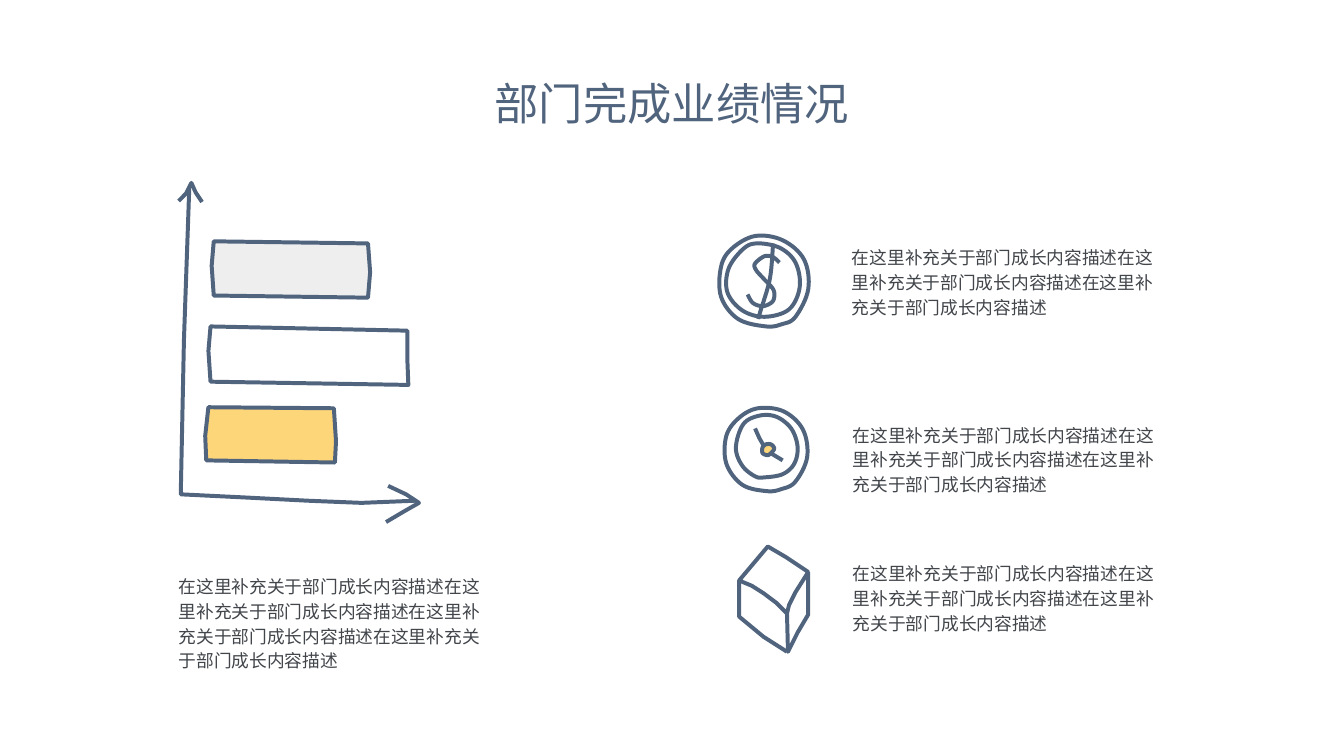
from dataclasses import dataclass
from typing import Optional

from lxml.etree import SubElement
from pptx import Presentation
from pptx.dml.color import RGBColor
from pptx.enum.text import MSO_ANCHOR as Anchor, MSO_AUTO_SIZE as AutoSize, PP_ALIGN as Align
from pptx.oxml.ns import qn
from pptx.util import Cm, Pt

COLORS = {"ink": "51647E", "text": "42464B", "yellow": "FDD67A", "grey": "EEEEEE"}
FONT = "Noto Sans CJK SC"
PHRASE = "在这里补充关于部门成长内容描述"
GRID = 2.54  # cm per unit of the sketch points
CURVE_STEPS = 8

Point = tuple[float, float]


@dataclass
class Stroke:
    points: list[Point]
    closed: bool = False
    smooth: bool = False
    fill: Optional[str] = None


@dataclass
class Note:
    left: float
    top: float
    height: float
    phrases: int


# Bar chart sketch
BAR_CHART = [
    Stroke([(1.96, 3.83), (3.14, 3.84), (3.16, 4.15), (3.15, 4.35), (1.94, 4.33), (1.93, 4.1)],
           closed=True, fill="yellow"),
    Stroke([(1.98, 3.07), (3.83, 3.11), (3.83, 3.36), (3.84, 3.62), (1.98, 3.59), (1.96, 3.3)],
           closed=True),
    Stroke([(2.01, 2.27), (3.46, 2.29), (3.48, 2.56), (3.46, 2.8), (2.01, 2.78), (1.99, 2.5)],
           closed=True, fill="grey"),
    # Axes and their arrowheads
    Stroke([(1.78, 1.77), (1.73, 3.2), (1.7, 4.65), (2.32, 4.68), (2.9, 4.71), (3.4, 4.73),
            (3.9, 4.71)]),
    Stroke([(3.65, 4.57), (3.82, 4.65), (3.94, 4.73), (3.8, 4.81), (3.63, 4.91)]),
    Stroke([(1.68, 1.89), (1.75, 1.82), (1.8, 1.72), (1.84, 1.81), (1.9, 1.9)]),
]

COIN = [
    # Rim and face
    Stroke([(7.2, 3.07), (6.94, 3.0), (6.78, 2.79), (6.78, 2.51), (6.88, 2.34), (7.1, 2.22),
            (7.36, 2.26), (7.56, 2.44), (7.6, 2.72), (7.48, 2.98), (7.35, 3.05)],
           closed=True, smooth=True),
    Stroke([(7.19, 2.98), (6.98, 2.92), (6.84, 2.75), (6.85, 2.53), (6.98, 2.35), (7.11, 2.29),
            (7.33, 2.33), (7.48, 2.47), (7.52, 2.7), (7.42, 2.91)],
           closed=True, smooth=True),
    # Dollar sign
    Stroke([(7.03, 2.77), (7.08, 2.85), (7.17, 2.88), (7.25, 2.85), (7.28, 2.8), (7.27, 2.72),
            (7.18, 2.62), (7.11, 2.54), (7.1, 2.48), (7.19, 2.41), (7.27, 2.42), (7.33, 2.47)],
           smooth=True),
    Stroke([(7.27, 2.29), (7.24, 2.62), (7.15, 2.93), (7.13, 3.0)], smooth=True),
]

CLOCK = [
    # Rim and face
    Stroke([(7.21, 4.62), (6.98, 4.56), (6.83, 4.36), (6.83, 4.1), (6.95, 3.93), (7.13, 3.84),
            (7.37, 3.87), (7.55, 4.04), (7.59, 4.3), (7.48, 4.53), (7.35, 4.6)],
           closed=True, smooth=True),
    Stroke([(7.19, 4.49), (7.1, 4.48), (6.98, 4.38), (6.92, 4.21), (6.99, 3.99), (7.14, 3.91),
            (7.3, 3.92), (7.44, 4.03), (7.5, 4.2), (7.47, 4.36), (7.36, 4.46)],
           closed=True, smooth=True),
    # Hub and hands
    Stroke([(7.21, 4.28), (7.17, 4.26), (7.17, 4.21), (7.2, 4.18), (7.25, 4.18), (7.28, 4.22),
            (7.24, 4.27)], closed=True, smooth=True, fill="yellow"),
    Stroke([(7.36, 4.33), (7.26, 4.27)]),
    Stroke([(7.1, 4.03), (7.14, 4.12), (7.18, 4.19)]),
]

BOX = [
    Stroke([(6.95, 5.46), (7.22, 5.14), (7.39, 5.24), (7.6, 5.38), (7.48, 5.57), (7.42, 5.69),
            (7.4, 5.77), (7.3, 5.67), (7.18, 5.58), (7.07, 5.51)], closed=True),
    Stroke([(7.6, 5.38), (7.6, 5.78), (7.5, 5.95), (7.41, 6.13), (7.4, 5.75)]),
    Stroke([(6.95, 5.46), (6.95, 5.8), (7.18, 5.99), (7.4, 6.13)]),
]

NOTES = [
    Note(20.35, 5.79, 1.83, 3),
    Note(20.37, 10.03, 1.83, 3),
    Note(20.37, 13.34, 1.83, 3),
    Note(4.27, 13.67, 2.39, 4),
]


def rgb(name: str) -> RGBColor:
    return RGBColor.from_string(COLORS[name])


def smoothed(points: list[Point], closed: bool) -> list[Point]:
    """Run a Catmull-Rom curve through the points."""
    ring = [points[-1], *points, *points[:2]] if closed else [points[0], *points, points[-1]]
    curve = []
    for a, b, c, d in zip(ring, ring[1:], ring[2:], ring[3:]):
        for step in range(CURVE_STEPS):
            t = step / CURVE_STEPS
            curve.append(tuple(
                q + t * (r - p + t * (2 * p - 5 * q + 4 * r - s + t * (3 * (q - r) + s - p))) / 2
                for p, q, r, s in zip(a, b, c, d)
            ))
    return curve if closed else [*curve, points[-1]]


def draw_stroke(slide, stroke: Stroke) -> None:
    points = smoothed(stroke.points, stroke.closed) if stroke.smooth else stroke.points
    start, *rest = [(Cm(x * GRID), Cm(y * GRID)) for x, y in points]
    builder = slide.shapes.build_freeform(*start)
    builder.add_line_segments(rest, close=stroke.closed)
    outline = builder.convert_to_shape()
    outline.shadow.inherit = False
    outline.line.color.rgb = rgb("ink")
    outline.line.width = Pt(2.7)
    if stroke.fill:
        outline.fill.solid()
        outline.fill.fore_color.rgb = rgb(stroke.fill)
    else:
        outline.fill.background()


def add_text(slide, text: str, *, left: float, top: float, width: float, height: float,
             size: float = 12, color: str = "text", align: Align = Align.LEFT) -> None:
    frame = slide.shapes.add_textbox(Cm(left), Cm(top), Cm(width), Cm(height)).text_frame
    frame.word_wrap = True
    frame.auto_size = AutoSize.SHAPE_TO_FIT_TEXT
    frame.vertical_anchor = Anchor.MIDDLE
    frame.margin_left = frame.margin_right = frame.margin_top = frame.margin_bottom = 0
    paragraph = frame.paragraphs[0]
    paragraph.alignment = align
    paragraph.line_spacing = 1.16
    run = paragraph.add_run()
    run.text = text
    run.font.name = FONT
    run.font.size = Pt(size)
    run.font.color.rgb = rgb(color)
    SubElement(run.font._element, qn("a:ea"), typeface=FONT)


def main() -> None:
    deck = Presentation()
    deck.slide_width, deck.slide_height = Cm(32.1), Cm(18.06)
    slide = deck.slides.add_slide(deck.slide_layouts[6])

    # Title
    add_text(slide, "部门完成业绩情况", left=10.95, top=1.57, width=10.19, height=1.55,
             size=30, color="ink", align=Align.CENTER)

    # Sketches
    for stroke in [*BAR_CHART, *COIN, *CLOCK, *BOX]:
        draw_stroke(slide, stroke)

    # Descriptions
    for note in NOTES:
        add_text(slide, PHRASE * note.phrases, left=note.left, top=note.top,
                 width=7.47, height=note.height)

    deck.save("out.pptx")


if __name__ == "__main__":
    main()
